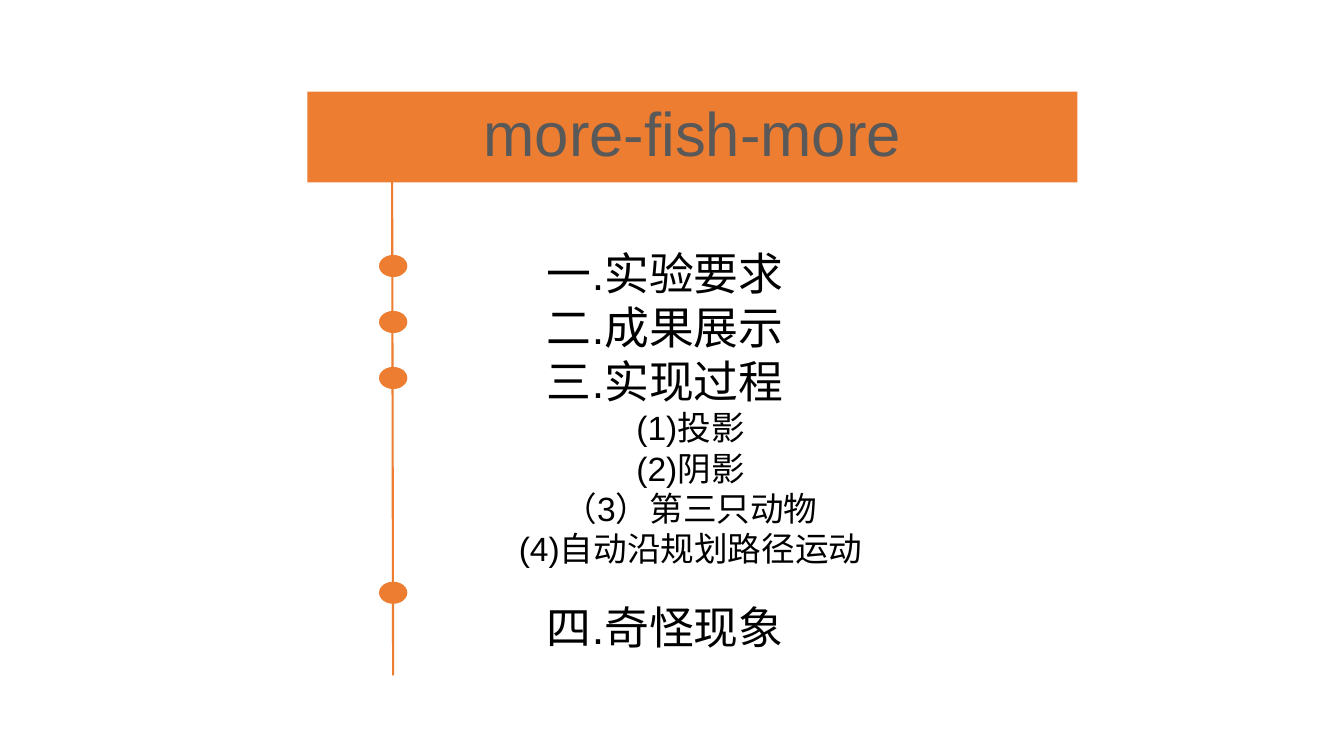
from lxml.etree import SubElement
from pptx import Presentation
from pptx.dml.color import RGBColor
from pptx.enum.shapes import MSO_CONNECTOR, MSO_SHAPE
from pptx.enum.text import MSO_ANCHOR, PP_ALIGN
from pptx.oxml.ns import qn
from pptx.util import Pt

TITLE = "more-fish-more"
# text, outline level, space before
OUTLINE = [
    ("一.实验要求", 0, 0),
    ("二.成果展示", 0, 0),
    ("三.实现过程", 0, 0),
    ("(1)投影", 1, 0),
    ("(2)阴影", 1, 0),
    ("（3）第三只动物", 1, 0),
    ("(4)自动沿规划路径运动", 1, 0),
    ("四.奇怪现象", 0, 22),
]
LEVEL_SIZES = [32, 24]
ORANGE, GREY, BLACK = "ED7D31", "595959", "000000"

BANNER = (219.6, 65.5, 550.1, 64.8)
OUTLINE_BOX = (299.5, 172.1, 351.4, 300.2)
TIMELINE = (280.1, 129.6, 280.8, 482.4)
DOT_CENTRES = [190, 230, 270, 423.4]
DOT_WIDTH, DOT_HEIGHT = 20.2, 15.8


def points(values):
    return [Pt(value) for value in values]


def colour(hex_string):
    return RGBColor.from_string(hex_string)


def add_orange_shape(slide, kind, box):
    shape = slide.shapes.add_shape(kind, *points(box))
    shape.shadow.inherit = False
    shape.fill.solid()
    shape.fill.fore_color.rgb = colour(ORANGE)
    shape.line.fill.background()
    return shape


def write(paragraph, text, size, hex_string):
    paragraph.alignment = PP_ALIGN.CENTER
    run = paragraph.add_run()
    run.text = text
    run.font.name = "Arial"
    run.font.size = Pt(size)
    run.font.color.rgb = colour(hex_string)


def add_banner(slide):
    frame = add_orange_shape(slide, MSO_SHAPE.RECTANGLE, BANNER).text_frame
    frame.word_wrap = True
    frame.vertical_anchor = MSO_ANCHOR.MIDDLE
    frame.paragraphs[0].line_spacing = 0.9
    write(frame.paragraphs[0], TITLE, 44, GREY)


def add_outline(slide):
    frame = slide.shapes.add_textbox(*points(OUTLINE_BOX)).text_frame
    frame.word_wrap = True
    for index, (text, level, space_before) in enumerate(OUTLINE):
        paragraph = frame.add_paragraph() if index else frame.paragraphs[0]
        paragraph.level = level
        paragraph.space_before = Pt(space_before)
        write(paragraph, text, LEVEL_SIZES[level], BLACK)


def add_timeline(slide):
    line = slide.shapes.add_connector(MSO_CONNECTOR.STRAIGHT, *points(TIMELINE))
    line.line.color.rgb = colour(ORANGE)
    line.line.width = Pt(1.5)
    SubElement(line._element.spPr, qn("a:effectLst"))
    left = (TIMELINE[0] + TIMELINE[2]) / 2 + 0.4 - DOT_WIDTH / 2
    for centre in DOT_CENTRES:
        top = centre - DOT_HEIGHT / 2
        add_orange_shape(slide, MSO_SHAPE.OVAL, (left, top, DOT_WIDTH, DOT_HEIGHT))


def main():
    presentation = Presentation()
    presentation.slide_width, presentation.slide_height = Pt(960), Pt(540)
    slide = presentation.slides.add_slide(presentation.slide_layouts[6])
    add_banner(slide)
    add_outline(slide)
    add_timeline(slide)
    presentation.save("out.pptx")


if __name__ == "__main__":
    main()
